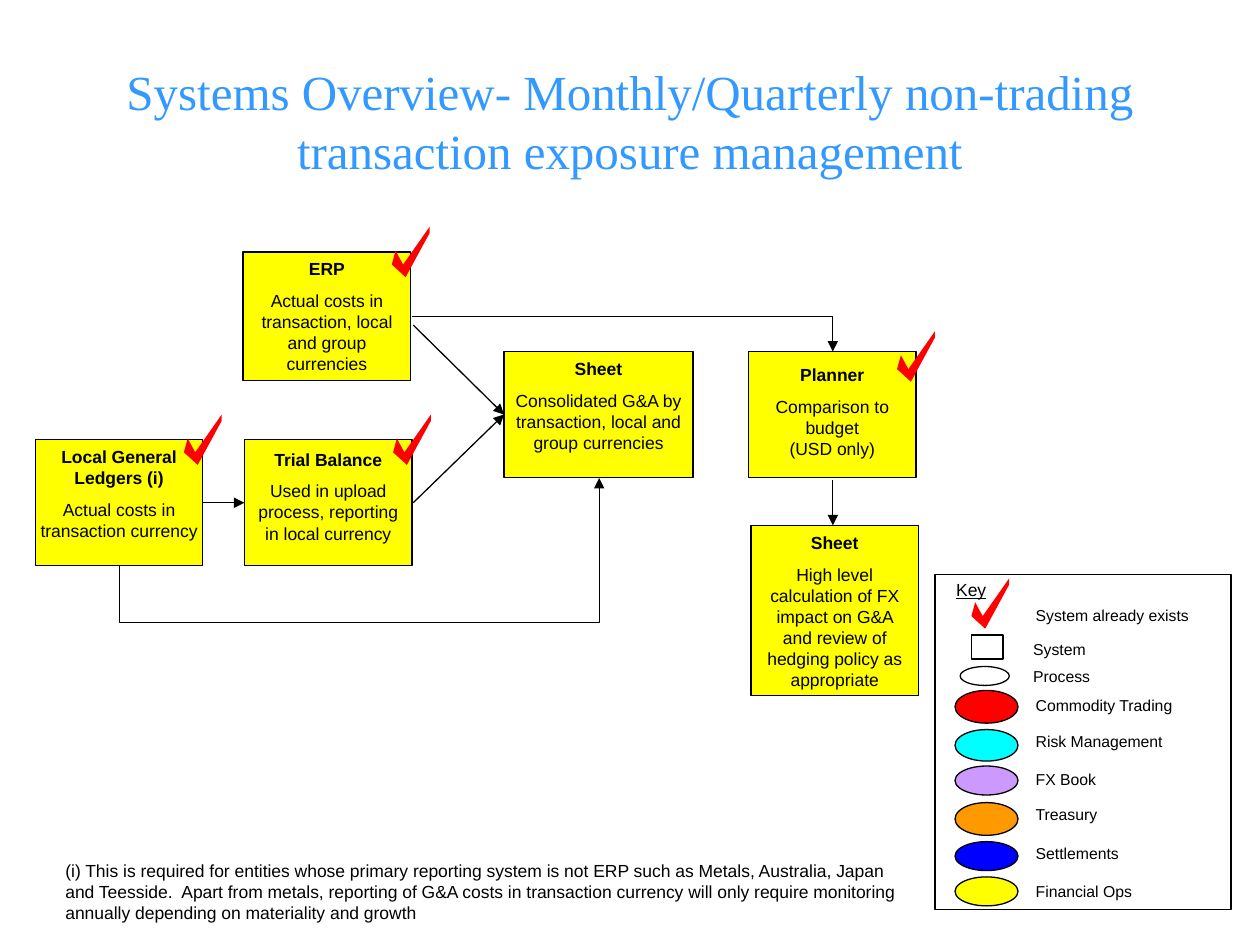
from lxml.etree import SubElement
from pptx import Presentation
from pptx.dml.color import RGBColor
from pptx.enum.shapes import MSO_CONNECTOR, MSO_SHAPE
from pptx.enum.text import MSO_ANCHOR, PP_ALIGN
from pptx.oxml.ns import qn
from pptx.util import Emu, Pt

SCALE = 9144
BLACK, WHITE, RED, YELLOW = "000000", "FFFFFF", "FF0000", "FFFF00"
TITLE = "Systems Overview- Monthly/Quarterly non-trading transaction exposure management"
FOOTNOTE = (
    "(i) This is required for entities whose primary reporting system is not ERP such as Metals, Australia, Japan\v"
    "and Teesside.  Apart from metals, reporting of G&A costs in transaction currency will only require monitoring\v"
    "annually depending on materiality and growth"
)
SYSTEMS = [
    ((400, 279, 150, 100), 0, "Sheet",
     "Consolidated G&A by transaction, local and group currencies", False),
    ((594, 279, 133, 100), 5, "Planner", "Comparison to budget\v(USD only)", True),
    ((596, 417, 133, 135), 0, "Sheet",
     "High level calculation of FX impact on G&A and review of hedging policy as appropriate", False),
    ((193, 200, 133, 102), 0, "ERP",
     "Actual costs in transaction, local and group currencies", True),
    ((28, 349, 133, 100), 0, "Local General\vLedgers (i)",
     "Actual costs in\vtransaction currency", True),
    ((194, 349, 133, 100), 2, "Trial Balance",
     "Used in upload process, reporting in local currency", True),
]
STRAIGHT_FLOWS = [
    (161, 399, 194, 399),
    (328, 399, 400, 329),
    (328, 258, 400, 329),
    (661, 381, 661, 417),
]
KEY_SYMBOLS = [
    ("System", 78, 52, MSO_SHAPE.RECTANGLE, (29, 48, 25, 19), WHITE, 0),
    ("Process", 78, 73, MSO_SHAPE.OVAL, (20, 73, 39, 15), WHITE, 0),
]
KEY_TEAMS = [
    ("Commodity Trading", 96, 92, 26, RED),
    ("Risk Management", 125, 123, 25, "00FFFF"),
    ("FX Book", 155, 152, 23, "CC99FF"),
    ("Treasury", 183, 181, 26, "FF9900"),
    ("Settlements", 214, 212, 23, "0000FF"),
    ("Financial Ops", 244, 240, 23, YELLOW),
]


def px(*lengths):
    """Turn px lengths into EMU."""
    return [Emu(length * SCALE) for length in lengths]


def color(hex_code):
    """Turn a hex string into a colour."""
    return RGBColor.from_string(hex_code)


def write(holder, paragraphs, size, hex_code=BLACK, font="Arial", align=PP_ALIGN.LEFT,
          anchor=MSO_ANCHOR.TOP, margins=(10, 5, 10, 5), wrap=True):
    """Fill a shape with paragraphs and return them."""
    frame = holder.text_frame
    frame.text = "\n".join(paragraphs)
    frame.word_wrap, frame.vertical_anchor = wrap, anchor
    (frame.margin_left, frame.margin_top,
     frame.margin_right, frame.margin_bottom) = px(*margins)
    for paragraph in frame.paragraphs:
        paragraph.alignment = align
        for run in paragraph.runs:
            run.font.name, run.font.size = font, Pt(size)
            run.font.color.rgb = color(hex_code)
    return frame.paragraphs


def add_text(slide, box, text, size, **style):
    """Add a text box with one paragraph and return the paragraph."""
    return write(slide.shapes.add_textbox(*px(*box)), [text], size, **style)[0]


def add_outlined(slide, kind, box, fill=None, line_width=0.75):
    """Add a preset shape with a black outline."""
    outlined = slide.shapes.add_shape(kind, *px(*box))
    outlined.shadow.inherit = False
    if fill:
        outlined.fill.solid()
        outlined.fill.fore_color.rgb = color(fill)
    else:
        outlined.fill.background()
    outlined.line.color.rgb = color(BLACK)
    outlined.line.width = Pt(line_width)
    return outlined


def add_tick(slide, left, top):
    """Draw the red tick of an existing system in a 30 by 40 box."""
    builder = slide.shapes.build_freeform(left + 3, top + 19, scale=SCALE)
    outline = [(0, 30), (11, 40), (30, 5), (30, 0), (9, 30)]
    builder.add_line_segments([(left + x, top + y) for x, y in outline], close=True)
    tick = builder.convert_to_shape()
    tick.shadow.inherit = False
    tick.fill.solid()
    tick.fill.fore_color.rgb = color(RED)
    tick.line.fill.background()


def add_system(slide, box, drop, name, duty, exists):
    """Draw a system box with its name, duty and tick."""
    left, top, width, _ = box
    system = add_outlined(slide, MSO_SHAPE.RECTANGLE, box, YELLOW)
    heading, detail = write(system, [name, duty], 10, align=PP_ALIGN.CENTER,
                            margins=(8, 5 + drop, 8, 5), wrap="\v" not in name)
    for run in heading.runs:
        run.font.bold = True
    detail.space_before = Pt(6.2)
    if exists:
        add_tick(slide, left + width - 15, top - 20 if drop != 5 else top - 16)


def add_flow(slide, ends, kind=MSO_CONNECTOR.STRAIGHT):
    """Add a connector with an arrowhead at its end."""
    flow = slide.shapes.add_connector(kind, *px(*ends))
    flow.line.color.rgb = color(BLACK)
    flow.line.width = Pt(0.75)
    SubElement(flow.line._get_or_add_ln(), qn("a:tailEnd"), type="triangle")
    SubElement(flow._element.spPr, qn("a:effectLst"))
    return flow


def add_flows(slide):
    """Connect the systems."""
    for ends in STRAIGHT_FLOWS:
        add_flow(slide, ends)
    to_budget = add_flow(slide, (327, 251, 661, 279), MSO_CONNECTOR.ELBOW)
    to_budget._element.spPr.find(qn("a:prstGeom")).set("prst", "bentConnector2")
    from_ledgers = add_flow(slide, (320, 605, 250, 224), MSO_CONNECTOR.ELBOW)
    properties = from_ledgers._element.spPr
    properties.find(qn("a:xfrm")).set("rot", "5400000")
    adjustments = properties.find(qn("a:prstGeom")).get_or_add_avLst()
    SubElement(adjustments, qn("a:gd"), name="adj1", fmla="val -63700")


def add_key(slide, box):
    """Draw the key with its symbols and labels."""
    left, top, _, _ = box
    add_outlined(slide, MSO_SHAPE.RECTANGLE, box, line_width=0)
    heading = add_text(slide, (left + 7, top + 3, 119, 17), "Key", 10,
                       anchor=MSO_ANCHOR.MIDDLE, wrap=False)
    heading.runs[0].font.underline = True
    add_tick(slide, left + 29, top + 3)
    teams = [(label, 80, label_top, MSO_SHAPE.OVAL, (16, mark_top, 50, height), fill, 0.75)
             for label, label_top, mark_top, height, fill in KEY_TEAMS]
    for label, label_left, label_top, kind, mark, fill, line_width in KEY_SYMBOLS + teams:
        x, y, width, height = mark
        add_outlined(slide, kind, (left + x, top + y, width, height), fill, line_width)
        add_key_label(slide, left + label_left, top + label_top, label)
    add_key_label(slide, left + 80, top + 25, "System already exists")


def add_key_label(slide, left, top, label):
    """Add one label of the key."""
    add_text(slide, (left, top, 130, 15), label, 9, margins=(0, 0, 0, 0))


def main():
    """Build the slide and save it."""
    deck = Presentation()
    deck.slide_width, deck.slide_height = px(1000, 750)
    slide = deck.slides.add_slide(deck.slide_layouts[6])
    add_text(slide, (75, 33, 850, 125), TITLE, 28, hex_code="3399FF",
             font="Times New Roman", align=PP_ALIGN.CENTER, anchor=MSO_ANCHOR.MIDDLE)
    for system in SYSTEMS:
        add_system(slide, *system)
    add_flows(slide)
    add_text(slide, (42, 678, 925, 60), FOOTNOTE, 10)
    add_key(slide, (742, 456, 235, 266))
    deck.save("out.pptx")


if __name__ == "__main__":
    main()
